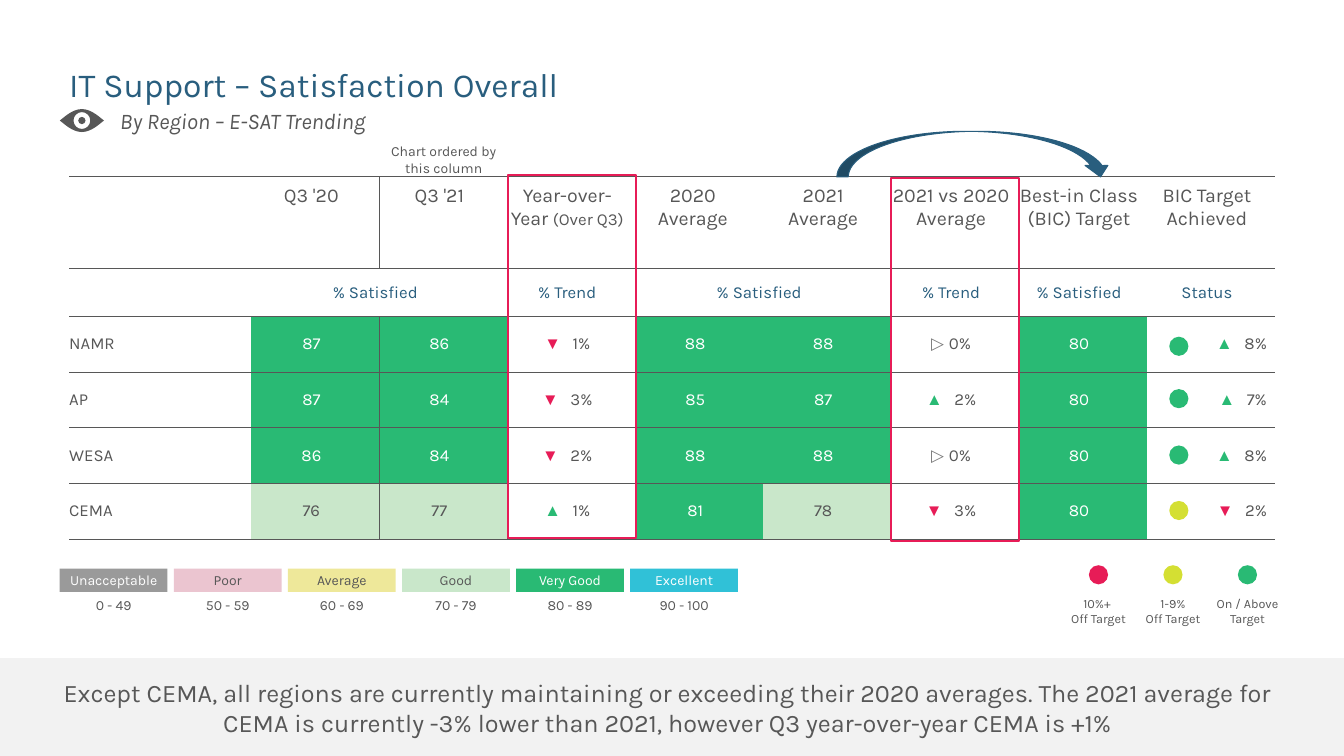
from pptx import Presentation
from pptx.dml.color import RGBColor
from pptx.enum import shapes, text
from pptx.oxml import parse_xml
from pptx.oxml.ns import nsdecls, qn
from pptx.util import Pt

# Colours
NAVY = RGBColor(0x29, 0x5E, 0x7E)
GREY = RGBColor(0x57, 0x57, 0x57)
MID_GREY = RGBColor(0x79, 0x79, 0x79)
SILVER = RGBColor(0x9A, 0x9A, 0x9A)
PALE_GREY = RGBColor(0xF2, 0xF2, 0xF2)
WHITE = RGBColor(0xFF, 0xFF, 0xFF)
GREEN = RGBColor(0x29, 0xBA, 0x74)
PALE_GREEN = RGBColor(0xC9, 0xE7, 0xCA)
RED = RGBColor(0xE7, 0x1C, 0x57)
PINK = RGBColor(0xEB, 0xC5, 0xD0)
YELLOW = RGBColor(0xEE, 0xE8, 0x9A)
LIME = RGBColor(0xD4, 0xDF, 0x33)
CYAN = RGBColor(0x30, 0xC1, 0xD7)

# Content
TITLE = "IT Support – Satisfaction Overall"
SUBTITLE = "By Region – E-SAT Trending"
ORDER_NOTE = "Chart ordered by this column"
TAKEAWAY = (
    "Except CEMA, all regions are currently maintaining or exceeding their 2020 averages. "
    "The 2021 average for CEMA is currently -3% lower than 2021, "
    "however Q3 year-over-year CEMA is +1%"
)
HEADERS = ["", "Q3 '20", "Q3 '21", "Year-over-Year ", "2020 \nAverage ", "2021\nAverage",
           "2021 vs 2020 Average", "Best-in Class (BIC) Target", "BIC Target\nAchieved"]
HEADER_SUFFIX = "(Over Q3)"
MEASURES = ["", "% Satisfied", "", "% Trend", "% Satisfied", "", "% Trend", "% Satisfied", "Status"]
REGIONS = [
    ["NAMR", "87", "86", "▼ 1%", "88", "88", "▷ 0%", "80", "▲ 8%"],
    ["AP", "87", "84", "▼ 3%", "85", "87", "▲ 2%", "80", "▲ 7%"],
    ["WESA", "86", "84", "▼ 2%", "88", "88", "▷ 0%", "80", "▲ 8%"],
    ["CEMA", "76", "77", "▲ 1%", "81", "78", "▼ 3%", "80", "▼ 2%"],
]
STATUS = [(240.5, GREEN), (277.9, GREEN), (318.2, GREEN), (357.8, LIME)]  # top, colour
MARK_COLOURS = {"▼": RED, "▲": GREEN, "▷": MID_GREY}
RATINGS = [
    ("Unacceptable", "0 - 49", SILVER, WHITE),
    ("Poor", "50 - 59", PINK, GREY),
    ("Average", "60 - 69", YELLOW, GREY),
    ("Good", "70 - 79", PALE_GREEN, GREY),
    ("Very Good", "80 - 89", GREEN, WHITE),
    ("Excellent", "90 - 100", CYAN, WHITE),
]
TARGETS = [("10%+ \nOff Target", RED), ("1-9%\nOff Target", LIME), ("On / Above Target", GREEN)]

# Layout
FONT = "Karla"
LEFT, CENTER, RIGHT = text.PP_ALIGN.LEFT, text.PP_ALIGN.CENTER, text.PP_ALIGN.RIGHT
TOP, MIDDLE = text.MSO_ANCHOR.TOP, text.MSO_ANCHOR.MIDDLE
TABLE_LEFT, TABLE_TOP = 49.4, 126
COLUMNS = [130.2] + [91.4] * 8
ROWS = [65.7, 34.4] + [39.7] * 4
DOT = 13.7

presentation = Presentation()
presentation.slide_width, presentation.slide_height = Pt(960), Pt(540)
slide = presentation.slides.add_slide(presentation.slide_layouts[6])


def write(frame, content, size, color, align=CENTER):
    frame.word_wrap = True
    for index, line in enumerate(content.split("\n")):
        paragraph = frame.add_paragraph() if index else frame.paragraphs[0]
        paragraph.add_run().text = line
        paragraph.alignment = align
        paragraph.font.name, paragraph.font.size = FONT, Pt(size)
        paragraph.font.color.rgb = color
    return paragraph


def add_text(left, top, width, height, content, size, color=GREY, align=CENTER):
    box = slide.shapes.add_textbox(Pt(left), Pt(top), Pt(width), Pt(height))
    box.text_frame.vertical_anchor = MIDDLE
    return box.text_frame, write(box.text_frame, content, size, color, align)


def add_shape(kind, left, top, width, height, fill=None, line=None, weight=0.75):
    shape = slide.shapes.add_shape(kind, Pt(left), Pt(top), Pt(width), Pt(height))
    return style(shape, fill, line, weight)


def style(shape, fill=None, line=None, weight=0.75):
    shape.shadow.inherit = False
    for part, color in ((shape.fill, fill), (shape.line.fill, line)):
        if color is None:
            part.background()
        else:
            part.solid()
            part.fore_color.rgb = color
    if line is not None:
        shape.line.width = Pt(weight)
    return shape


def set_borders(cell, **weights):
    properties = cell._tc.get_or_add_tcPr()
    for position, side in enumerate(("lnL", "lnR", "lnT", "lnB")):
        weight = weights.get(side, 0)
        fill = f'<a:solidFill><a:srgbClr val="{GREY}"/></a:solidFill>' if weight else "<a:noFill/>"
        border = f'<a:{side} {nsdecls("a")} w="{int(Pt(weight))}">{fill}</a:{side}>'
        properties.insert(position, parse_xml(border))


def write_trend(frame, content, align):
    mark, value = content.split(" ")
    paragraph = write(frame, mark + " ", 12, GREY, align)
    run = paragraph.runs[0]
    run.font.name, run.font.color.rgb = "Arial", MARK_COLOURS[mark]
    if mark != "▷":
        run.font._element.set("spc", "250")  # wider gap after a solid mark
    paragraph.add_run().text = value


def curve_points(center, width, height, near, far):
    """Control points of four mirrored quarter curves, starting at the right tip."""
    quarter = [(1, 0), near, far, (0, 1)]
    points = []
    for sign_x, sign_y in ((1, 1), (-1, 1), (-1, -1), (1, -1)):
        part = quarter if sign_x == sign_y else quarter[::-1]
        points += [(sign_x * x, sign_y * y) for x, y in part[1 if points else 0:]]
    return [(Pt(center[0] + width * x), Pt(center[1] + height * y)) for x, y in points]


# Title and subtitle
title_frame, title = add_text(TABLE_LEFT, 49, 861, 26, TITLE, 24, NAVY, LEFT)
title_frame.vertical_anchor = TOP
title_frame.margin_left = title_frame.margin_right = 0
title_frame.margin_top = title_frame.margin_bottom = 0
title.line_spacing = 0.9
subtitle = add_text(78.5, 73, 466, 26.6, SUBTITLE, 16, align=LEFT)[1]
subtitle.font.italic = True

# Table
table = slide.shapes.add_table(len(ROWS), len(COLUMNS), Pt(TABLE_LEFT), Pt(TABLE_TOP),
                               Pt(sum(COLUMNS)), Pt(sum(ROWS))).table
table.first_row = table.horz_banding = False
for column, width in zip(table.columns, COLUMNS):
    column.width = Pt(width)
for row, height in zip(table.rows, ROWS):
    row.height = Pt(height)
for first in (1, 4):
    table.cell(1, first).merge(table.cell(1, first + 1))

for r, values in enumerate([HEADERS, MEASURES] + REGIONS):
    for c, value in enumerate(values):
        cell = table.cell(r, c)
        cell.margin_left = 0
        cell.margin_top = cell.margin_right = cell.margin_bottom = Pt(5.76)
        cell.vertical_anchor = MIDDLE if r else TOP
        cell.fill.background()
        frame = cell.text_frame
        if r < 2:
            if value:
                paragraph = write(frame, value, 12 if r else 14, NAVY if r else GREY)
            if (r, c) == (0, 3):
                suffix = paragraph.add_run()
                suffix.text, suffix.font.size = HEADER_SUFFIX, Pt(12)
        elif c in (3, 6, 8):
            write_trend(frame, value, RIGHT if c == 8 else CENTER)
        elif c == 0:
            write(frame, value, 12, GREY, LEFT)
        else:
            very_good = int(value) >= 80
            write(frame, value, 12, WHITE if very_good else GREY)
            cell.fill.solid()
            cell.fill.fore_color.rgb = GREEN if very_good else PALE_GREEN
        inner = r != 1
        set_borders(cell, lnT=0.25, lnB=0.25,
                    lnL=1 if c == 3 or (c == 2 and inner) else 0,
                    lnR=1 if c == 2 or (c == 1 and inner) else 0)

# Takeaway band
add_shape(shapes.MSO_SHAPE.RECTANGLE, 0, 470, 960, 70, PALE_GREY)
add_text(26.9, 471, 900, 69, TAKEAWAY, 18)

# Rating scale
for index, (label, span, fill, color) in enumerate(RATINGS):
    left = 42.7 + 81.5 * index
    band = add_shape(shapes.MSO_SHAPE.RECTANGLE, left, 406.2, 77, 16.6, fill)
    band.text_frame.vertical_anchor = MIDDLE
    write(band.text_frame, label, 10, color)
    add_text(left, 424, 77, 16.6, span, 10)

# Eye icon: lens outline, white ring, pupil
EYE = (58.5, 86.1)
ROUND = ((1, 0.55), (0.55, 1))
lens = curve_points(EYE, 15.8, 8.2, (0.85, 0.19), (0.45, 1))
builder = slide.shapes.build_freeform(*lens[0], scale=1.0)
builder.add_line_segments(lens[1:], close=True)
for radius in (6, 2.6):
    ring = curve_points(EYE, radius, radius, *ROUND)
    builder.move_to(*ring[0])
    builder.add_line_segments(ring[1:], close=True)
eye = style(builder.convert_to_shape(), GREY)
segments = list(eye._element.iter(qn("a:lnTo")))
for first, second, third in zip(*[iter(segments)] * 3):  # three points make one curve
    curve = parse_xml(f'<a:cubicBezTo {nsdecls("a")}/>')
    first.addprevious(curve)
    for segment in (first, second, third):
        curve.append(segment[0])
        segment.getparent().remove(segment)

# Status dots
for top, color in STATUS:
    add_shape(shapes.MSO_SHAPE.OVAL, 835.2, top, DOT, DOT, color)

# Trend column frames, sort note and comparison arrow
for left, top in ((362.9, 125.2), (636.5, 127.2)):
    add_shape(shapes.MSO_SHAPE.RECTANGLE, left, top, 91.4, 259.4, line=RED, weight=1.5)
add_text(271.2, 104, 91.4, 20, ORDER_NOTE, 10)
add_shape(shapes.MSO_SHAPE.CURVED_DOWN_ARROW, 597.8, 93.8, 196.5, 32.6, NAVY, NAVY)

# Target key
for index, (label, color) in enumerate(TARGETS):
    left = 777.8 + 53.2 * index
    add_shape(shapes.MSO_SHAPE.OVAL, left, 403.7, DOT, DOT, color)
    add_text(left + DOT / 2 - 31.7, 422.5, 63.4, 27.5, label, 9)

presentation.save("out.pptx")
